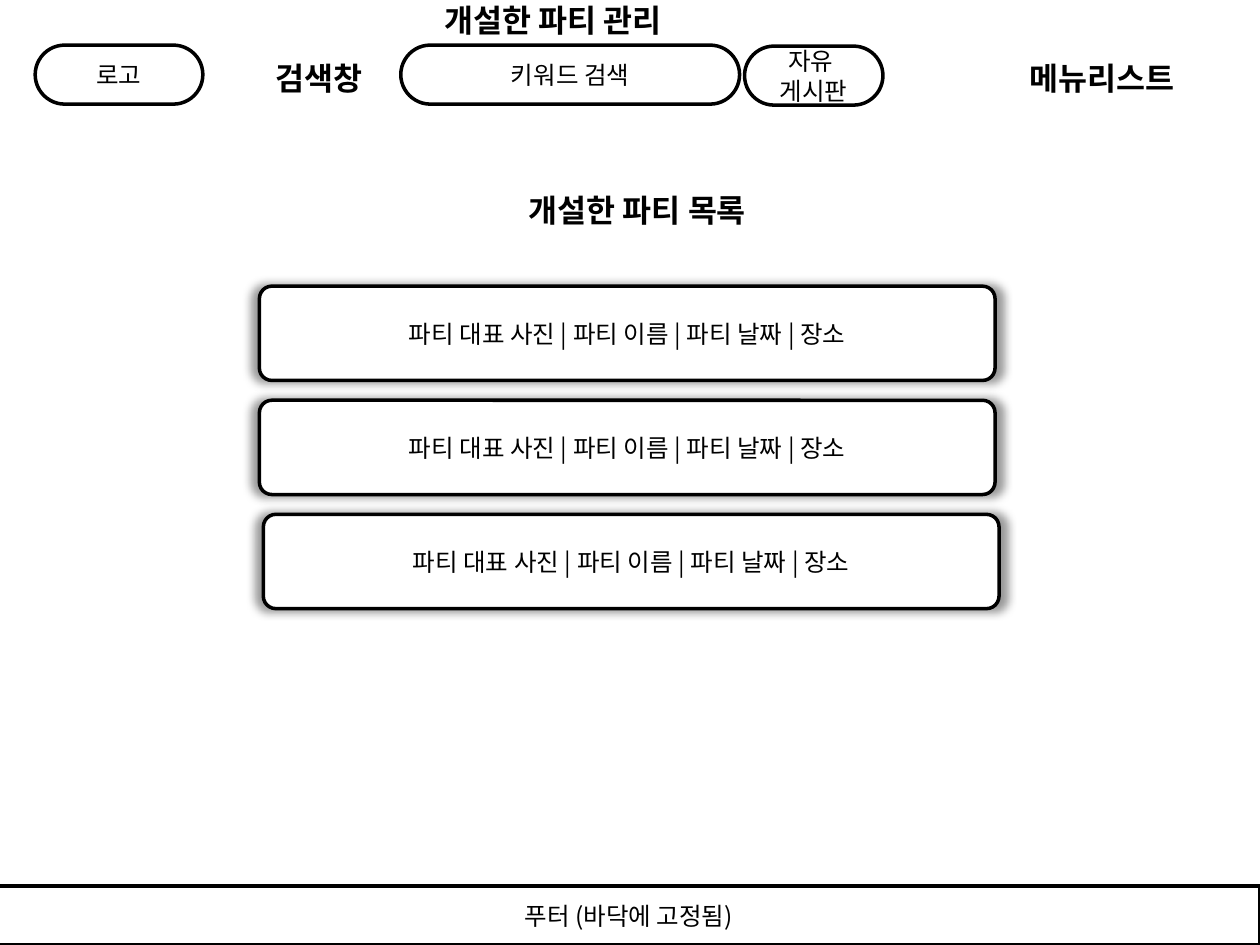
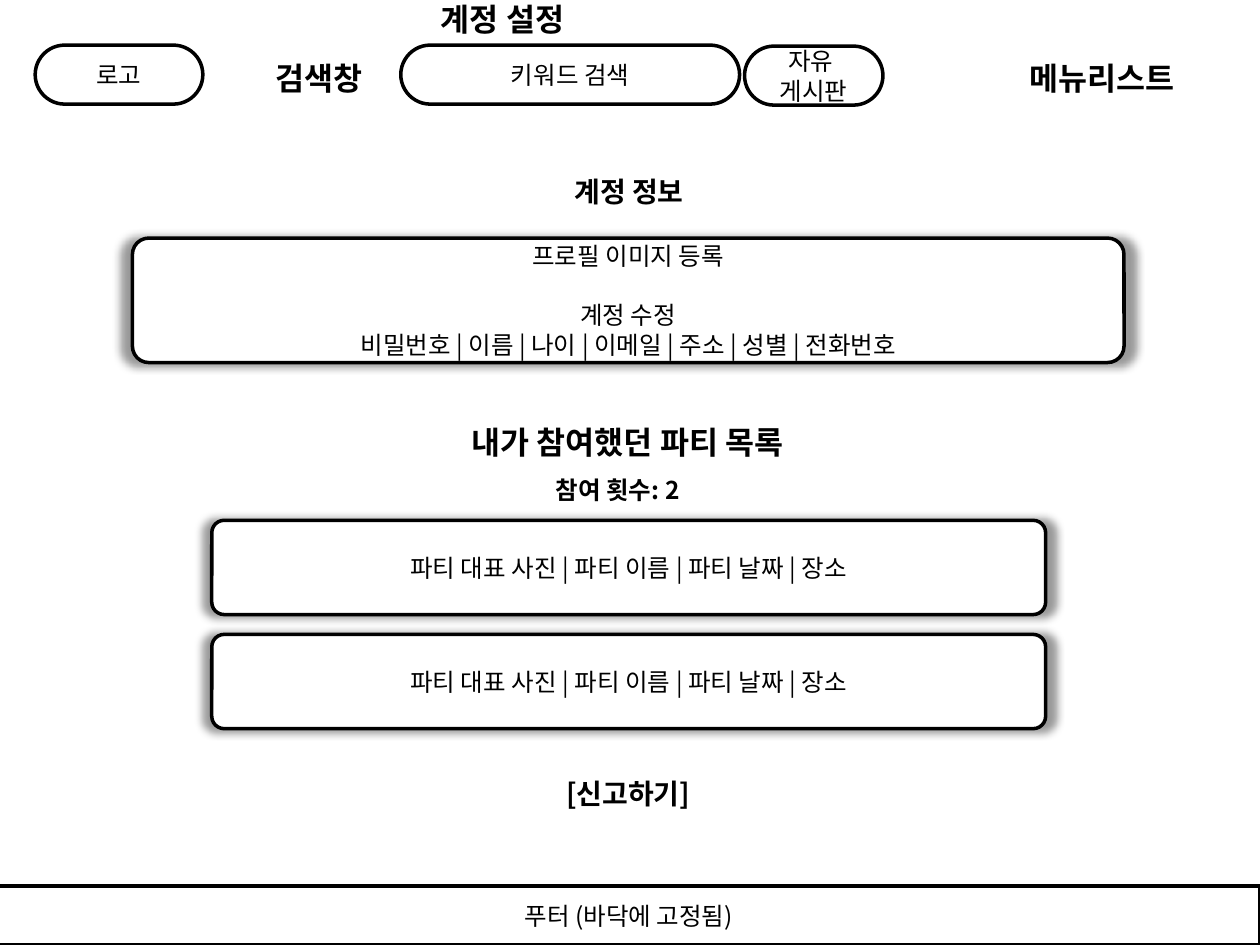
from lxml import etree
from pptx import Presentation
from pptx.dml.color import RGBColor
from pptx.enum import shapes, text
from pptx.oxml import ns
from pptx.util import Cm, Pt

COLORS = {"ink": "000000", "paper": "FFFFFF"}
FONT = "Noto Sans CJK KR"
LINE_RATIO = 1.2
BODY_SIZE = 14
HEADING_SIZE = 18
SECTION_SIZE = 16
PILL_HEIGHT = 1.19
CARD_HEIGHT = 1.9
CARD_PITCH = 2.3
CARD_ROUNDING = 0.132
PARTY_SUMMARY = "파티 대표 사진 | 파티 이름 | 파티 날짜 | 장소"
CENTER = text.PP_ALIGN.CENTER
LEFT = text.PP_ALIGN.LEFT


def color(name):
    return RGBColor.from_string(COLORS[name])


def assign(target, values):
    for name, value in values.items():
        setattr(target, name, value)


def write(frame, lines, size, align=CENTER, bold=False):
    for index, line in enumerate(lines):
        para = frame.paragraphs[0] if index == 0 else frame.add_paragraph()
        assign(para, {"alignment": align, "line_spacing": Pt(size * LINE_RATIO)})
        span = para.add_run()
        span.text = line
        assign(span.font, {"size": Pt(size), "bold": bold, "name": FONT})
        span.font.color.rgb = color("ink")
        east_asian = etree.SubElement(span.font._element, ns.qn("a:ea"))
        east_asian.set("typeface", FONT)


def add_label(page, words, left, top, width, size=HEADING_SIZE, align=CENTER):
    height = Pt(size * LINE_RATIO) + Cm(0.25)
    box = page.shapes.add_textbox(Cm(left), Cm(top), Cm(width), height)
    assign(box.text_frame, {
        "word_wrap": True,
        "auto_size": text.MSO_AUTO_SIZE.SHAPE_TO_FIT_TEXT,
    })
    write(box.text_frame, [words], size, align, bold=True)


def add_panel(page, lines, left, top, width, height, rounding):
    box = page.shapes.add_shape(
        shapes.MSO_SHAPE.ROUNDED_RECTANGLE, Cm(left), Cm(top), Cm(width), Cm(height)
    )
    box.adjustments[0] = rounding
    box.shadow.inherit = False
    box.fill.solid()
    box.fill.fore_color.rgb = color("paper")
    box.line.color.rgb = color("ink")
    box.line.width = Pt(2)
    assign(box.text_frame, {
        "word_wrap": True,
        "vertical_anchor": text.MSO_ANCHOR.MIDDLE,
    })
    write(box.text_frame, lines, BODY_SIZE)
    return box


def add_pill(page, lines, left, top, width):
    add_panel(page, lines, left, top, width, PILL_HEIGHT, 0.5)


def add_card(page, lines, left, top, width, height=CARD_HEIGHT):
    card = add_panel(page, lines, left, top, width, height, CARD_ROUNDING)
    effects = card._element.spPr.find(ns.qn("a:effectLst"))
    glow = etree.SubElement(effects, ns.qn("a:outerShdw"))
    glow_format = {
        "blurRad": str(Pt(5)), "sx": "102000", "sy": "102000",
        "algn": "ctr", "rotWithShape": "0",
    }
    for name, value in glow_format.items():
        glow.set(name, value)
    tint = etree.SubElement(glow, ns.qn("a:srgbClr"), val=COLORS["ink"])
    etree.SubElement(tint, ns.qn("a:alpha"), val="40000")
    return card


def add_party_cards(page, lefts, top, width):
    for row, left in enumerate(lefts):
        add_card(page, [PARTY_SUMMARY], left, top + row * CARD_PITCH, width)


def add_page(deck, title, left, top):
    page = deck.slides.add_slide(deck.slide_layouts[6])
    add_pill(page, ["키워드 검색"], 8.08, 0.91, 6.83)
    add_pill(page, ["로고"], 0.71, 0.91, 3.38)
    add_pill(page, ["자유 ", "게시판"], 15.01, 0.93, 2.79)
    add_label(page, "검색창", 5.31, 1.07, 5.51, align=LEFT)
    add_label(page, "메뉴리스트", 20.5, 1.07, 5.51, align=LEFT)
    add_label(page, title, left, top, 12.55, align=LEFT)
    add_panel(page, ["푸터 (바닥에 고정됨)"], -0.05, 17.86, 25.45, PILL_HEIGHT, 0)
    return page


def add_hosted_parties(deck):
    page = add_page(deck, "개설한 파티 관리", 8.71, -0.1)
    add_label(page, "개설한 파티 목록", 9.04, 3.73, 7.62)
    add_party_cards(page, [5.23, 5.23, 5.31], 5.77, 14.83)


def add_account_settings(deck):
    page = add_page(deck, "계정 설정", 8.64, -0.13)
    add_label(page, "계정 정보", 9.93, 3.4, 5.51, SECTION_SIZE)
    profile = add_card(
        page,
        ["프로필 이미지 등록", "계정 수정",
         "비밀번호 | 이름 | 나이 | 이메일 | 주소 | 성별 | 전화번호"],
        2.67, 4.8, 19.99, 2.51,
    )
    profile.text_frame.paragraphs[0].space_after = Pt(BODY_SIZE * LINE_RATIO)
    add_label(page, "내가 참여했던 파티 목록", 8.84, 8.41, 7.62)
    add_label(page, "참여 횟수: 2", 8.64, 9.45, 7.62, BODY_SIZE)
    add_party_cards(page, [4.27, 4.27], 10.49, 16.81)
    add_label(page, "[신고하기]", 9.91, 15.52, 5.51, SECTION_SIZE)


def main():
    deck = Presentation()
    assign(deck, {"slide_width": Cm(25.4), "slide_height": Cm(19.05)})
    add_hosted_parties(deck)
    add_account_settings(deck)
    deck.save("out.pptx")


if __name__ == "__main__":
    main()
